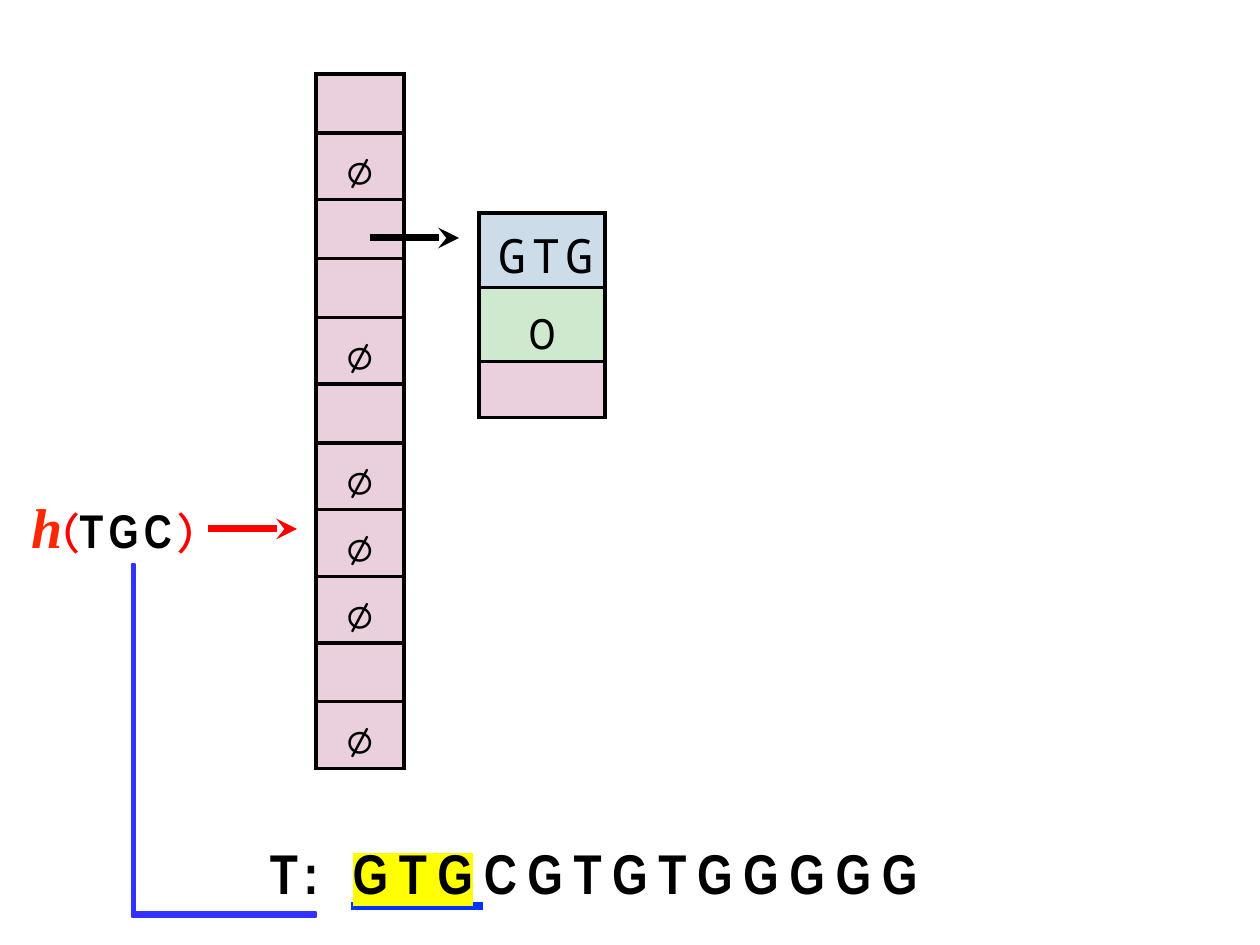
"""Build a hash table slide with a linked entry and the text being indexed."""
from dataclasses import dataclass

from lxml.etree import SubElement
from pptx import Presentation
from pptx.dml.color import RGBColor
from pptx.enum.shapes import MSO_CONNECTOR
from pptx.enum.text import PP_ALIGN
from pptx.oxml.ns import qn
from pptx.util import Pt

SCALE = 914400 / 126
PINK, BLUE, GREEN = "E9D0DC", "CCDCE9", "CEE9CE"
RED, BLACK = "FF0000", "000000"
EMPTY = {1, 4, 6, 7, 8, 10}


@dataclass
class Run:
    text: str
    size: float
    font: str
    color: str = BLACK
    bold: bool = False
    slant: bool = False
    gap: int = 0
    mark: str = ""


@dataclass
class Cell:
    high: int
    fill: str
    run: Run | None = None
    lead: float = 0
    after: int = 0
    left: int = 0


@dataclass
class Line:
    start: tuple[int, int]
    end: tuple[int, int]
    color: str
    width: int
    head: bool = True


def emu(px: int) -> int:
    return round(px * SCALE)


def tint(code: str) -> RGBColor:
    return RGBColor.from_string(code)


def indent(para, left: int) -> None:
    props = para._p.get_or_add_pPr()
    props.set("marL", str(emu(left)))
    props.set("indent", "0")


def write(para, runs: list[Run]) -> None:
    for item in runs:
        run = para.add_run()
        run.text = item.text
        font = run.font
        font.size, font.name = Pt(item.size), item.font
        font.bold, font.italic = item.bold, item.slant
        font.color.rgb = tint(item.color)
        props = run._r.get_or_add_rPr()
        props.set("spc", str(item.gap * 100))
        if item.mark:
            mark = SubElement(props, qn("a:highlight"))
            SubElement(mark, qn("a:srgbClr"), val=item.mark)
            props.find(qn("a:latin")).addprevious(mark)


def label(slide, box: tuple[int, int, int, int], left: int, runs: list[Run]) -> None:
    frame = slide.shapes.add_textbox(*map(emu, box)).text_frame
    frame.word_wrap = True
    frame.margin_left = frame.margin_right = 0
    frame.margin_top = frame.margin_bottom = 0
    para = frame.paragraphs[0]
    indent(para, left)
    write(para, runs)


def border(cell) -> None:
    props = cell._tc.get_or_add_tcPr()
    for i, side in enumerate(("lnL", "lnR", "lnT", "lnB")):
        edge = props.makeelement(qn(f"a:{side}"), {"w": str(Pt(2.25))})
        fill = SubElement(edge, qn("a:solidFill"))
        SubElement(fill, qn("a:srgbClr"), val=BLACK)
        props.insert(i, edge)


def stack(slide, left: int, top: int, wide: int, cells: list[Cell]) -> None:
    high = sum(item.high for item in cells)
    box = map(emu, (left, top, wide, high))
    table = slide.shapes.add_table(len(cells), 1, *box).table
    table.first_row = table.horz_banding = False
    for i, item in enumerate(cells):
        table.rows[i].height = emu(item.high)
        cell = table.cell(i, 0)
        cell.fill.solid()
        cell.fill.fore_color.rgb = tint(item.fill)
        border(cell)
        if item.run:
            cell.margin_left = cell.margin_right = 0
            cell.margin_top = cell.margin_bottom = 0
            para = cell.text_frame.paragraphs[0]
            para.alignment = PP_ALIGN.CENTER
            indent(para, item.left)
            para.line_spacing = Pt(item.lead)
            para.space_after = Pt(item.after)
            write(para, [item.run])


def draw(slide, item: Line) -> None:
    ends = map(emu, item.start + item.end)
    link = slide.shapes.add_connector(MSO_CONNECTOR.STRAIGHT, *ends)
    link.line.color.rgb = tint(item.color)
    link.line.width = Pt(item.width)
    props = link._element.spPr
    if item.head:
        SubElement(props.find(qn("a:ln")), qn("a:tailEnd"), type="stealth")
    SubElement(props, qn("a:effectLst"))


def bend(slide) -> None:
    left, top, right, foot = 132, 564, 316, 917
    pen = slide.shapes.build_freeform(left, top, scale=SCALE)
    pen.add_line_segments([
        (left + 3, top), (left + 3, foot - 5), (right, foot - 5),
        (right, foot), (left, foot),
    ])
    shape = pen.convert_to_shape()
    shape.shadow.inherit = False
    shape.fill.solid()
    shape.fill.fore_color.rgb = shape.line.color.rgb = tint("3333FF")
    shape.line.width = Pt(1)


def main() -> None:
    deck = Presentation()
    deck.slide_width, deck.slide_height = emu(1260), emu(945)
    slide = deck.slides.add_slide(deck.slide_layouts[6])

    draw(slide, Line((351, 906), (483, 906), "0433FF", 5, False))
    label(slide, (30, 492, 185, 69), 1, [
        Run("h", 32, "Times New Roman", "FF2600", True, True),
        Run("(", 28.1, "Karla", RED),
        Run("TGC", 27, "Arial Narrow", bold=True, gap=3),
        Run(")", 28.1, "Karla", RED),
    ])
    parts = (("T: ", ""), ("GTG", "FFFF00"), ("CGTGTGGGGG", ""))
    label(slide, (262, 838, 769, 68), 8, [
        Run(text, 32, "Arial Narrow", bold=True, gap=6, mark=mark)
        for text, mark in parts
    ])
    bend(slide)

    stack(slide, 479, 213, 126, [
        Cell(74, BLUE, Run("GTG", 27, "Noto Sans Mono", gap=3), 42.4, left=8),
        Cell(74, GREEN, Run("0", 27, "Karla"), 42.4),
        Cell(56, PINK),
    ])
    null = Run("∅", 28, "Courier New")
    stack(slide, 316, 74, 88, [
        Cell(66, PINK, null, 38, 6) if i in EMPTY else Cell(59, PINK)
        for i in range(11)
    ])
    draw(slide, Line((370, 238), (459, 238), BLACK, 4))
    draw(slide, Line((208, 529), (297, 529), RED, 4))
    deck.save("out.pptx")


if __name__ == "__main__":
    main()
